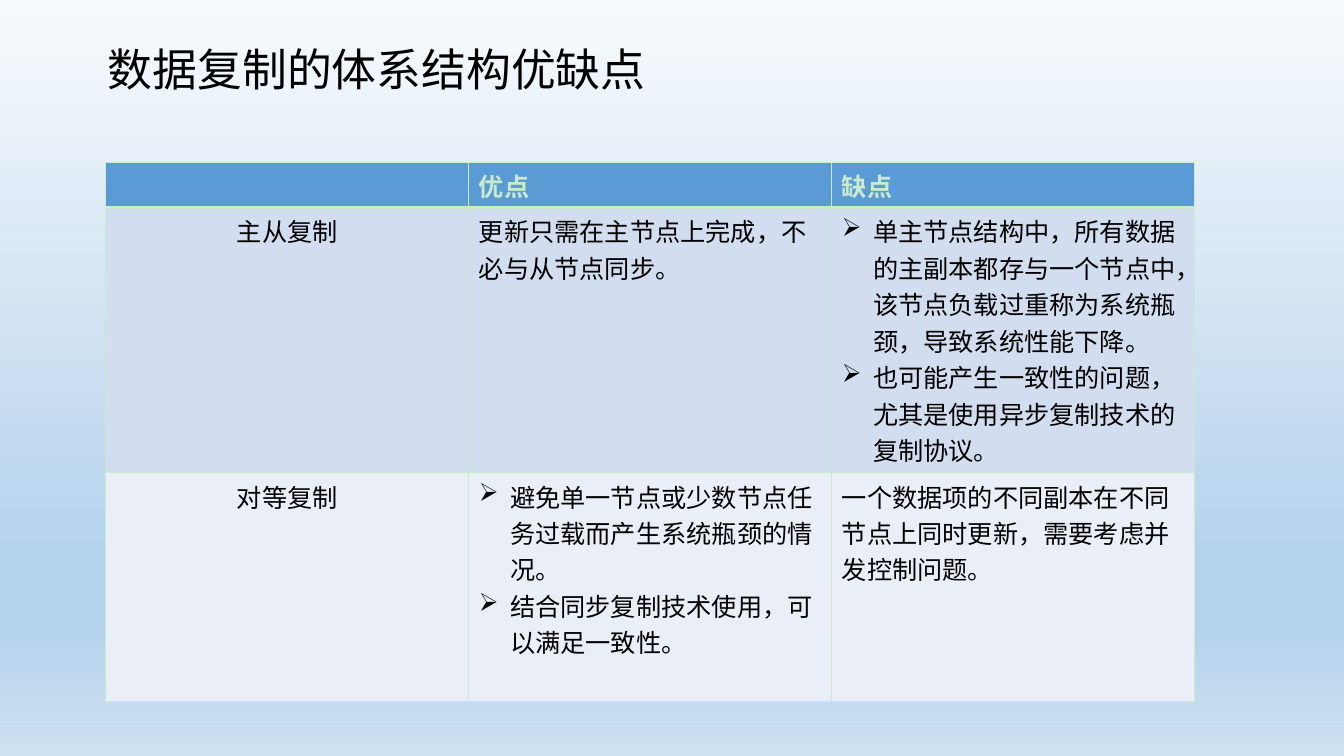
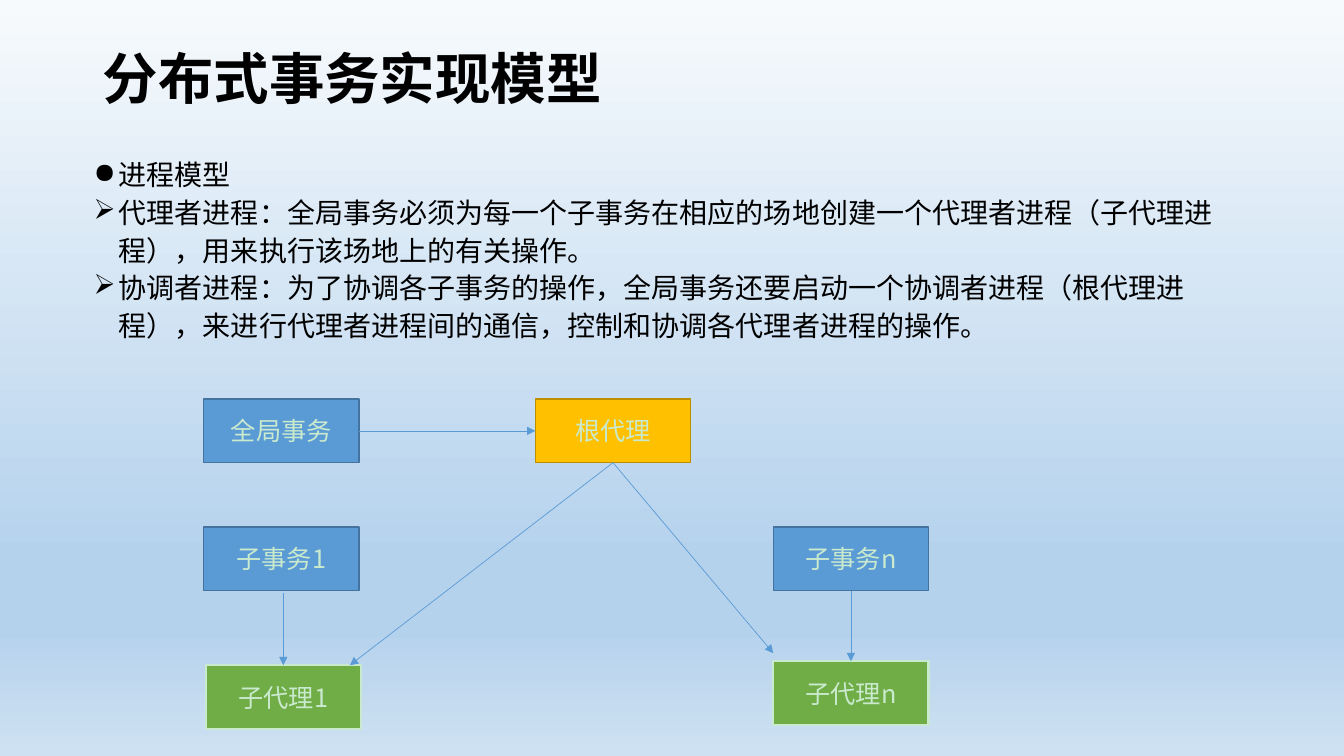
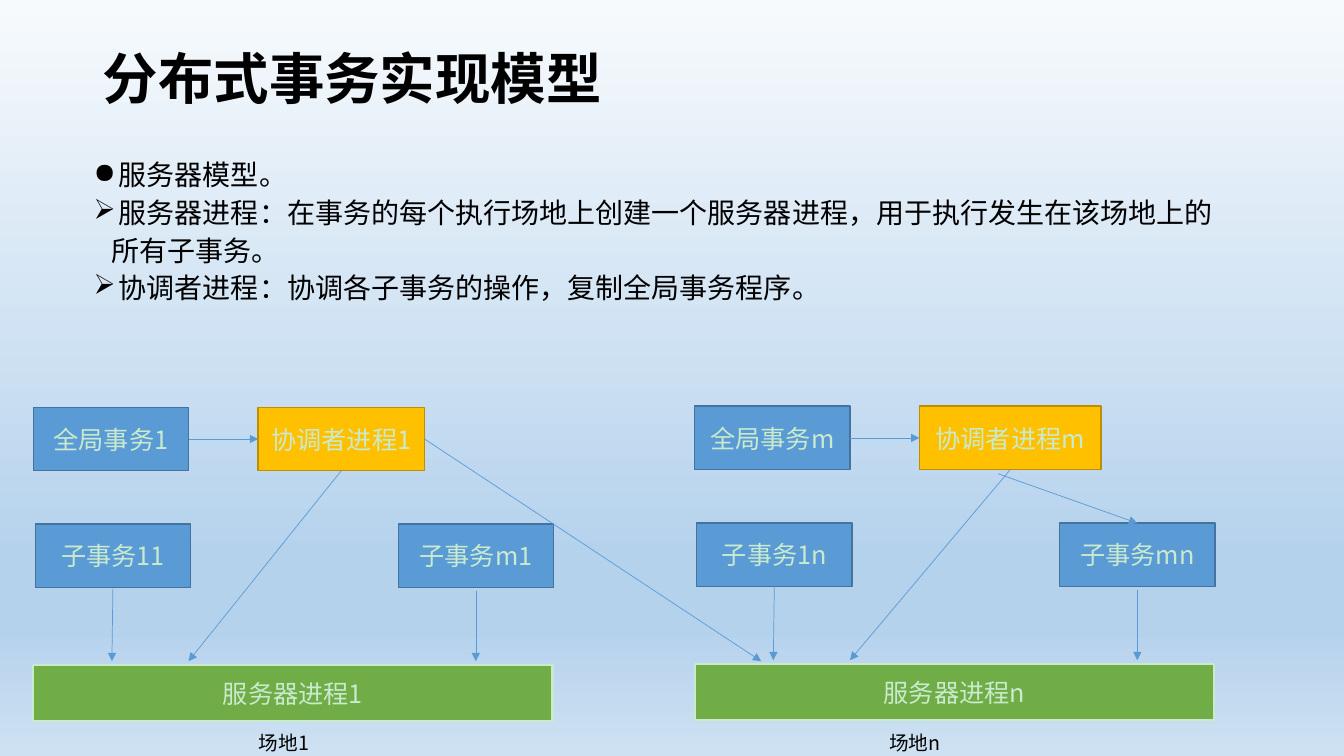
"""Build three slides on data replication and distributed transaction models."""
from lxml import etree
from pptx import Presentation
from pptx.dml.color import RGBColor
from pptx.enum.lang import MSO_LANGUAGE_ID
from pptx.enum.shapes import MSO_CONNECTOR, MSO_SHAPE
from pptx.enum.text import MSO_ANCHOR, PP_ALIGN
from pptx.oxml.ns import qn
from pptx.util import Inches, Pt

RECT, LINE = MSO_SHAPE.RECTANGLE, MSO_CONNECTOR.STRAIGHT
LEFT, MID = PP_ALIGN.LEFT, PP_ALIGN.CENTER
TOP, CENTER = MSO_ANCHOR.TOP, MSO_ANCHOR.MIDDLE
CHINESE = MSO_LANGUAGE_ID.SIMPLIFIED_CHINESE
FACE = "Noto Sans CJK SC"
UP, WEST, DOWN, EAST = range(4)

HUES = {"ink": "000000", "pale": "CAEACE", "blue": "5B9BD5", "navy": "43739E",
        "gold": "FFC000", "brown": "BD8E00", "green": "70AD47",
        "odd": "D2DEEF", "even": "EAEFF7"}
SKY = [(0, "F7FAFD"), (74, "B5D2EC"), (83, "B5D2EC"), (100, "CEE1F2")]
KINDS = {"task": ("blue", "navy", 1), "root": ("gold", "brown", 1),
         "agent": ("green", "pale", 1.5)}
BOX_W, BOX_H = 1.54, 0.63

ARROW, DOT = "➢", "●"
GRID = [
    [[], ["优点"], ["缺点"]],
    [["主从复制"],
     ["更新只需在主节点上完成，不必与从节点同步。"],
     [(ARROW, 0.31, "单主节点结构中，所有数据的主副本都存与一个节点中，该节点负载过重称为系统瓶颈，导致系统性能下降。"),
      (ARROW, 0.31, "也可能产生一致性的问题，尤其是使用异步复制技术的复制协议。")]],
    [["对等复制"],
     [(ARROW, 0.31, "避免单一节点或少数节点任务过载而产生系统瓶颈的情况。"),
      (ARROW, 0.31, "结合同步复制技术使用，可以满足一致性。")],
     ["一个数据项的不同副本在不同节点上同时更新，需要考虑并发控制问题。"]],
]
ROWS = [0.45, 2.63, 2.27]
COL_W = 3.6

MODEL = "分布式事务实现模型"
PROCESS = [
    (DOT, 0.25, "进程模型"),
    (ARROW, 0.25, "代理者进程：全局事务必须为每一个子事务在相应的场地创建一个代理者进程（子代理进"),
    (None, 0.25, "程），用来执行该场地上的有关操作。"),
    (ARROW, 0.25, "协调者进程：为了协调各子事务的操作，全局事务还要启动一个协调者进程（根代理进"),
    (None, 0.25, "程），来进行代理者进程间的通信，控制和协调各代理者进程的操作。"),
]
SERVER = [
    (DOT, 0.25, "服务器模型。"),
    (ARROW, 0.25, "服务器进程：在事务的每个执行场地上创建一个服务器进程，用于执行发生在该场地上的"),
    (None, 0.18, "所有子事务。"),
    (ARROW, 0.25, "协调者进程：协调各子事务的操作，复制全局事务程序。"),
]
TREE = [("全局事务", "task", 2.02, 3.96), ("根代理", "root", 5.31, 3.96),
        ("子事务1", "task", 2.02, 5.23), ("子事务n", "task", 7.67, 5.23),
        ("子代理1", "agent", 2.04, 6.6), ("子代理n", "agent", 7.67, 6.56)]
LINKS = [(("全局事务", EAST), ("根代理", WEST)),
         ((2.81, 5.88), ("子代理1", UP)),
         (("子事务n", DOWN), ("子代理n", UP)),
         (("根代理", DOWN), (3.47, 6.6)),
         (("根代理", DOWN), (7.67, 6.48))]
SITES = [("1", "1", 0.33, 4.04, 1.65, 2.14), ("m", "n", 6.89, 4.03, 1.8, 1.83)]
CROSS = [(("协调者进程1", EAST), (7.55, 6.56)),
         ((9.9, 4.7), ("子事务mn", UP))]


def rgb(name):
    """Return the named colour."""
    return RGBColor.from_string(HUES[name])


def write(frame, items, size=18, hue="ink", bold=False, align=LEFT,
          anchor=TOP, lead=None, gap=0):
    """Fill a text frame with strings or (mark, left, text) items."""
    frame.word_wrap = True
    frame.vertical_anchor = anchor
    for i, item in enumerate(items):
        mark, left, text = (None, 0, item) if isinstance(item, str) else item
        para = frame.paragraphs[0] if i == 0 else frame.add_paragraph()
        props = para._p.get_or_add_pPr()
        if left:
            props.set("marL", str(Inches(left)))
            props.set("indent", str(-Inches(left) if mark else 0))
        if mark:
            etree.SubElement(props, qn("a:buChar")).set("char", mark)
        para.alignment = align
        if lead:
            para.line_spacing = lead
        if gap and i:
            para.space_before = Pt(gap)
        run = para.add_run()
        run.text = text
        font = run.font
        font.size, font.bold, font.name = Pt(size), bold, FACE
        font.color.rgb = rgb(hue)
        font.language_id = CHINESE
        etree.SubElement(font._element, qn("a:ea")).set("typeface", FACE)


def label(slide, items, x, y, w, h, **style):
    """Add a text box."""
    box = slide.shapes.add_textbox(*map(Inches, (x, y, w, h)))
    write(box.text_frame, items, **style)


def block(slide, text, kind, x, y, w=BOX_W, h=BOX_H):
    """Add a labelled rectangle of a given kind."""
    fill, edge, width = KINDS[kind]
    box = slide.shapes.add_shape(RECT, *map(Inches, (x, y, w, h)))
    box.shadow.inherit = False
    box.fill.solid()
    box.fill.fore_color.rgb = rgb(fill)
    box.line.color.rgb = rgb(edge)
    box.line.width = Pt(width)
    write(box.text_frame, [text], hue="pale", align=MID, anchor=CENTER)
    return box


def link(slide, boxes, start, end):
    """Draw an arrow between points or (box name, side) pairs."""
    line = slide.shapes.add_connector(LINE, 0, 0, 0, 0)
    if isinstance(start[0], str):
        line.begin_connect(boxes[start[0]], start[1])
    else:
        line.begin_x, line.begin_y = map(Inches, start)
    if isinstance(end[0], str):
        line.end_connect(boxes[end[0]], end[1])
    else:
        line.end_x, line.end_y = map(Inches, end)
    line.line.color.rgb = rgb("blue")
    line.line.width = Pt(0.5)
    etree.SubElement(line.line._get_or_add_ln(), qn("a:tailEnd")).set("type", "triangle")
    etree.SubElement(line._element.spPr, qn("a:effectLst"))


def paint(master):
    """Give the master its gradient background."""
    fill = master.background.fill
    fill.gradient()
    fill.gradient_angle = 270
    stops = master.element.find(".//" + qn("a:gsLst"))
    for stop in list(stops):
        stops.remove(stop)
    for share, hue in SKY:
        stop = etree.SubElement(stops, qn("a:gs"), pos=str(share * 1000))
        etree.SubElement(stop, qn("a:srgbClr"), val=hue)


def border(cell, row):
    """Set the four borders of a table cell."""
    props = cell._tc.get_or_add_tcPr()
    thick = {"T": 3 if row == 1 else 1, "B": 3 if row == 0 else 1}
    for i, side in enumerate("LRTB"):
        edge = etree.Element(qn("a:ln" + side), w=str(Pt(thick.get(side, 1))))
        fill = etree.SubElement(edge, qn("a:solidFill"))
        etree.SubElement(fill, qn("a:srgbClr"), val=HUES["pale"])
        props.insert(i, edge)


def compare(slide):
    """Draw the table of strengths and weaknesses."""
    label(slide, ["数据复制的体系结构优缺点"], 0.97, 0.16, 11.5, 1.1,
          size=32, anchor=CENTER, lead=0.9)
    cols = len(GRID[0])
    table = slide.shapes.add_table(len(GRID), cols, *map(
        Inches, (1.05, 1.61, COL_W * cols, sum(ROWS)))).table
    for col in table.columns:
        col.width = Inches(COL_W)
    for r, row in enumerate(GRID):
        table.rows[r].height = Inches(ROWS[r])
        for c, items in enumerate(row):
            cell = table.cell(r, c)
            cell.fill.solid()
            cell.fill.fore_color.rgb = rgb(("blue", "odd", "even")[r])
            border(cell, r)
            write(cell.text_frame, items, hue="ink" if r else "pale",
                  bold=r == 0, align=LEFT if c else MID)


def model(slide, points):
    """Add the title and points shared by both model slides."""
    label(slide, [MODEL], 0.92, 0.26, 11.5, 1.1, size=39.6, bold=True,
          anchor=CENTER, lead=0.9)
    label(slide, points, 0.83, 1.55, 11.5, 2.3, size=20, lead=0.9, gap=5.4)


def tree(slide):
    """Draw the process model."""
    model(slide, PROCESS)
    boxes = {spec[0]: block(slide, *spec) for spec in TREE}
    for ends in LINKS:
        link(slide, boxes, *ends)


def sites(slide):
    """Draw the server model with its two sites."""
    model(slide, SERVER)
    boxes = {}
    for task, site, x, y, wide, note in SITES:
        head, lead = "全局事务" + task, "协调者进程" + task
        first, last = "子事务1" + site, "子事务m" + site
        parts = [(head, "task", x, y),
                 (lead, "root", x + 2.23, y, wide),
                 (first, "task", x + 0.02, y + 1.16),
                 (last, "task", x + 3.62, y + 1.16),
                 ("服务器进程" + site, "agent", x, y + 2.56, 5.15, 0.55)]
        for part in parts:
            boxes[part[0]] = block(slide, *part)
        foot = y + 2.52
        for ends in [((head, EAST), (lead, WEST)),
                     ((first, DOWN), (x + 0.78, foot)),
                     ((x + 4.39, y + 1.82), (x + 4.39, foot)),
                     ((lead, DOWN), (x + BOX_W, foot))]:
            link(slide, boxes, *ends)
        label(slide, ["场地" + site], x + note, 7.2, 1.24, 0.34, size=14)
    for ends in CROSS:
        link(slide, boxes, *ends)


def main():
    """Build and save the deck."""
    deck = Presentation()
    deck.slide_width, deck.slide_height = Inches(13.33), Inches(7.5)
    paint(deck.slide_master)
    for draw in (compare, tree, sites):
        draw(deck.slides.add_slide(deck.slide_layouts[6]))
    deck.save("out.pptx")


if __name__ == "__main__":
    main()
